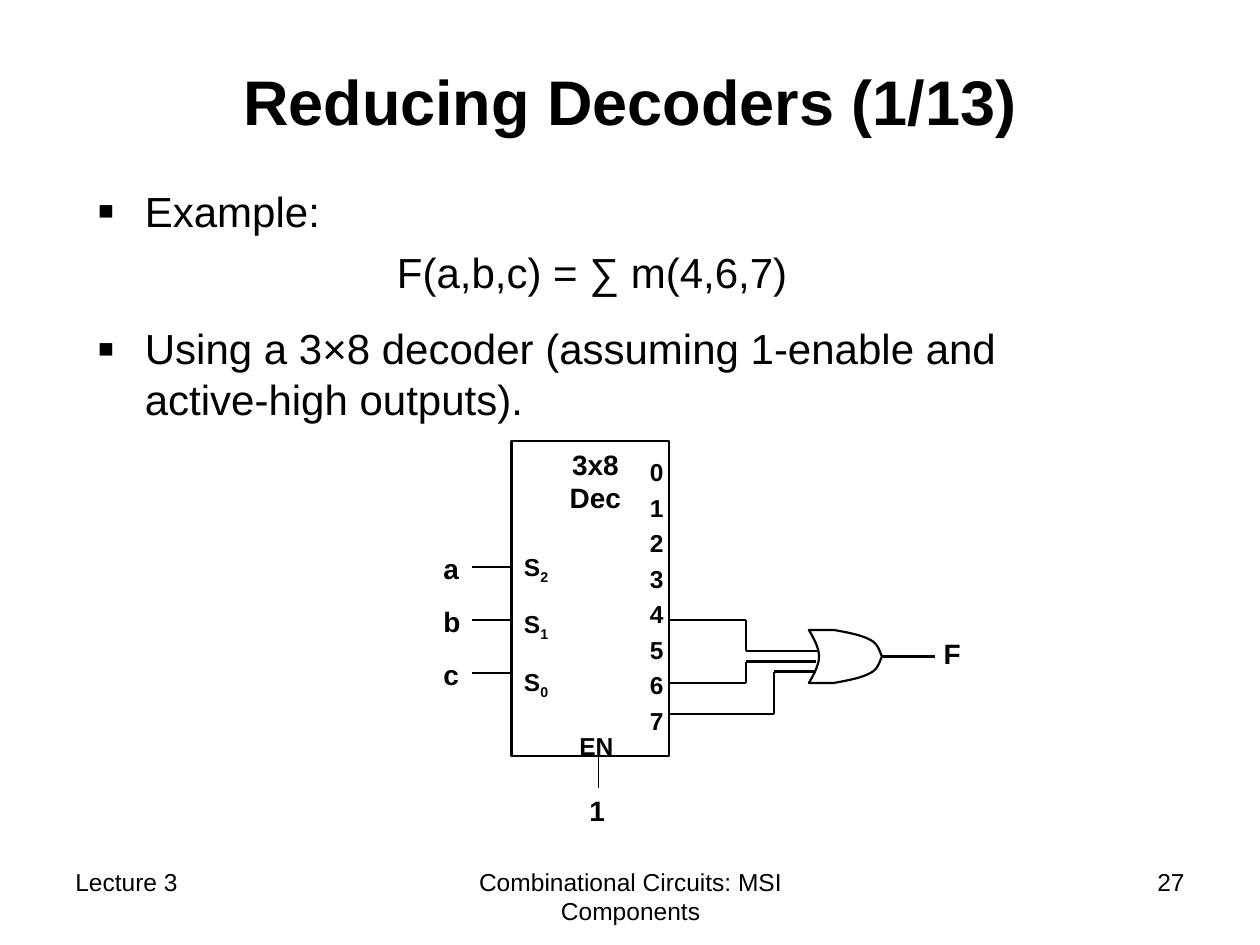
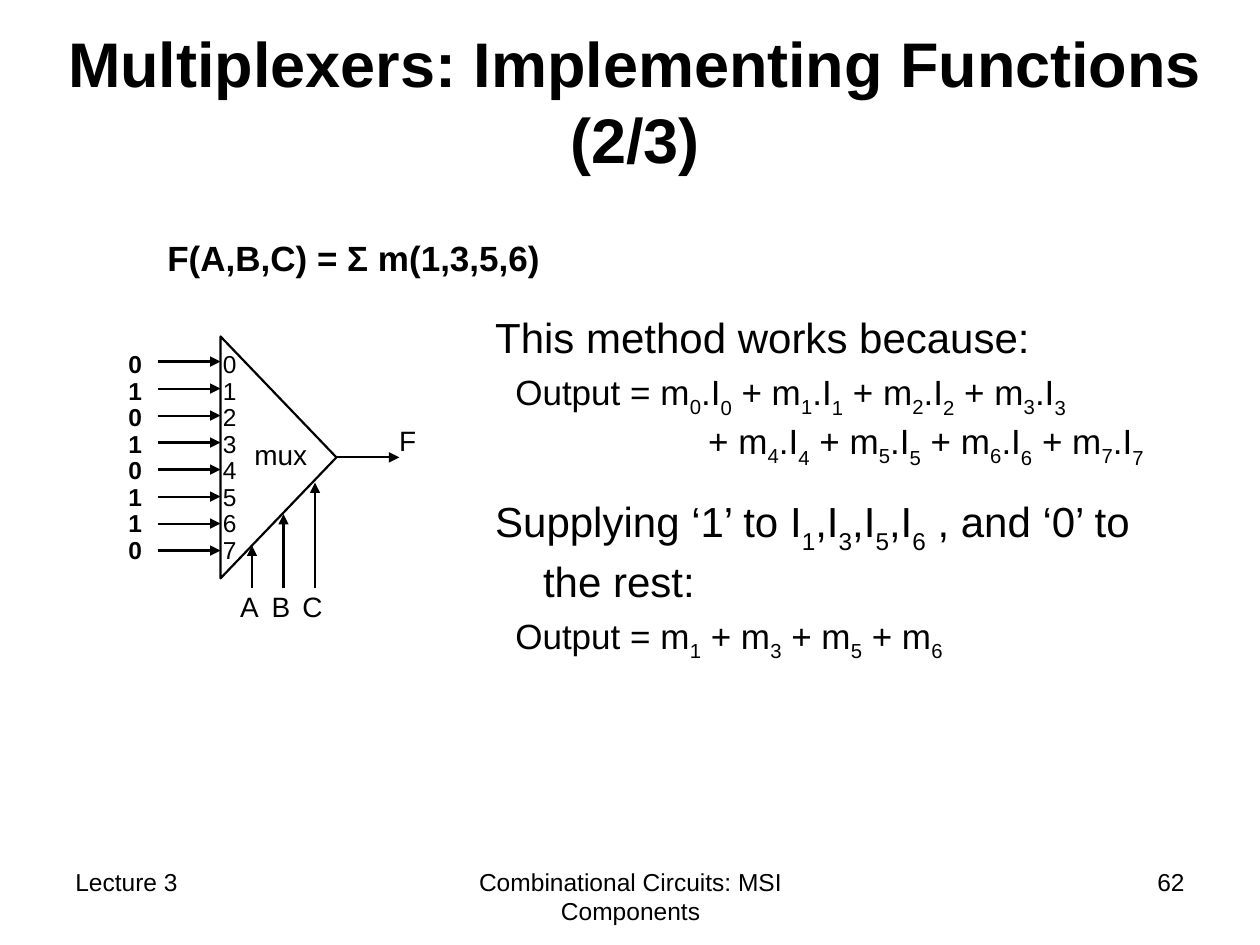
from itertools import pairwise

from lxml import etree
from pptx import Presentation
from pptx.dml.color import RGBColor
from pptx.enum.shapes import MSO_CONNECTOR, MSO_SHAPE
from pptx.enum.text import MSO_ANCHOR, MSO_AUTO_SIZE, PP_ALIGN
from pptx.oxml.ns import qn
from pptx.util import Inches, Pt

BLACK = RGBColor(0x00, 0x00, 0x00)
WHITE = RGBColor(0xFF, 0xFF, 0xFF)
FONT = "Arial"
LEFT, CENTER, RIGHT = PP_ALIGN.LEFT, PP_ALIGN.CENTER, PP_ALIGN.RIGHT
STRAIGHT = MSO_CONNECTOR.STRAIGHT
WIRE_WIDTH = 1.25
GATE_HEIGHT = 0.42


def add_bullet(para):
    properties = para._p.get_or_add_pPr()
    color = etree.SubElement(properties, qn("a:buClr"))
    etree.SubElement(color, qn("a:srgbClr")).set("val", str(BLACK))
    etree.SubElement(properties, qn("a:buSzPct")).set("val", "120000")
    etree.SubElement(properties, qn("a:buFont")).set("typeface", FONT)
    etree.SubElement(properties, qn("a:buChar")).set("char", "▪")


def set_indent(para, margin, first_line):
    properties = para._p.get_or_add_pPr()
    properties.set("marL", str(Inches(margin)))
    properties.set("indent", str(Inches(first_line)))


def write(para, text, size, bold=False, align=LEFT, before=0):
    para.alignment = align
    para.space_before = Pt(before)
    previous = ""
    for index, piece in enumerate(text.split("_")):
        if not piece:
            continue
        span = para.add_run()
        span.text = piece
        span.font.name = FONT
        span.font.size = Pt(size)
        span.font.bold = bold
        span.font.color.rgb = BLACK
        if index % 2:
            depth = "-30000" if previous.endswith("I") else "-25000"
            span._r.get_or_add_rPr().set("baseline", depth)
        previous = piece


def place(shape, left, top, width, height):
    shape.left, shape.top = Inches(left), Inches(top)
    shape.width, shape.height = Inches(width), Inches(height)


def add_label(page, left, top, width, lines, size=16, bold=False,
              align=LEFT, before=0, spacing=None, height=0.37):
    box = page.shapes.add_textbox(Inches(left), Inches(top), Inches(width), Inches(height))
    frame = box.text_frame
    frame.word_wrap = True
    for index, line in enumerate(lines):
        para = frame.paragraphs[0] if index == 0 else frame.add_paragraph()
        write(para, line, size, bold, align, before if index else 0)
        if spacing:
            para.line_spacing = spacing


def add_wire(page, points, width=WIRE_WIDTH, arrow=False):
    for start, end in pairwise(points):
        wire = page.shapes.add_connector(STRAIGHT, *(Inches(value) for value in start + end))
        wire.line.color.rgb = BLACK
        wire.line.width = Pt(width)
        properties = wire._element.spPr
        if arrow:
            outline = properties.find(qn("a:ln"))
            etree.SubElement(outline, qn("a:tailEnd")).set("type", "triangle")
        etree.SubElement(properties, qn("a:effectLst"))


def outline_shape(shape, width):
    shape.shadow.inherit = False
    shape.fill.background()
    shape.line.color.rgb = BLACK
    shape.line.width = Pt(width)


def sample_curve(start, first, second, end, steps=10):
    points = []
    for step in range(steps + 1):
        t = step / steps
        weights = ((1 - t) ** 3, 3 * t * (1 - t) ** 2, 3 * t * t * (1 - t), t ** 3)
        controls = (start, first, second, end)
        points.append(tuple(sum(weight * control[axis] for weight, control in zip(weights, controls))
                            for axis in (0, 1)))
    return points


def add_or_gate(page, left, top):
    middle = GATE_HEIGHT / 2
    upper = (sample_curve((0.08, middle), (0.08, 0.14), (0.04, 0.07), (0, 0))
             + sample_curve((0.2, 0), (0.31, 0.02), (0.42, 0.04), (0.49, 0.08))
             + sample_curve((0.49, 0.08), (0.55, 0.11), (0.56, 0.17), (0.58, middle)))
    lower = [(x, GATE_HEIGHT - y) for x, y in reversed(upper)]
    corners = [(Inches(left + x), Inches(top + y)) for x, y in upper + lower]
    builder = page.shapes.build_freeform(*corners[0], scale=1.0)
    builder.add_line_segments(corners[1:], close=True)
    outline_shape(builder.convert_to_shape(), WIRE_WIDTH)


def add_decoder(page, left, top, width, height):
    def at(*points):
        return [(left + x, top + y) for x, y in points]

    body = page.shapes.add_shape(MSO_SHAPE.RECTANGLE, Inches(left), Inches(top),
                                 Inches(width), Inches(height))
    outline_shape(body, 1.5)
    add_label(page, left + 0.25, top, 0.83, ["3x8", "Dec"], bold=True, align=CENTER, height=0.64)
    add_label(page, left, top + 0.83, 0.5, ["S_2_", "S_1_", "S_0_"], 14, True,
              before=13.8, height=1.3)
    for index, name in enumerate("abc"):
        shift = index * 0.42
        add_label(page, left - 0.64, top + 0.83 + shift, 0.33, [name], bold=True)
        add_wire(page, at((-0.31, 1 + shift), (0, 1 + shift)))
    add_label(page, left + width - 0.25, top + 0.08, 0.33, [str(number) for number in range(8)],
              14, True, before=3.5, height=2.31)

    add_wire(page, at((width, 1.42), (1.86, 1.42), (1.86, 1.67), (2.44, 1.67)))
    add_wire(page, at((width, 1.92), (1.86, 1.92), (1.86, 1.75), (2.42, 1.75)))
    add_wire(page, at((width, 2.17), (2.08, 2.17), (2.08, 1.83), (2.42, 1.83)))
    add_or_gate(page, left + 2.36, top + 1.5)
    add_wire(page, at((2.94, 1.71), (3.36, 1.71)))
    add_label(page, left + 3.33, top + 1.5, 0.33, ["F"], bold=True)

    add_label(page, left + 0.44, top + height - 0.25, 0.5, ["EN"], 14, True, height=0.34)
    add_wire(page, at((0.69, height), (0.69, height + 0.25)), 0.75)
    add_label(page, left + 0.52, top + height + 0.25, 0.33, ["1"], bold=True)


def add_multiplexer(page, left, top, width, height):
    middle = top + height / 2
    add_label(page, left + 0.17, top + 0.75, 0.75, ["mux"])
    body = page.shapes.add_shape(
        MSO_SHAPE.ISOSCELES_TRIANGLE, Inches(left + (width - height) / 2),
        Inches(middle - width / 2), Inches(height), Inches(width))
    body.rotation = 90
    outline_shape(body, WIRE_WIDTH)

    for offset, digits, bold in ((-0.83, "01010110", True), (-0.08, "01234567", False)):
        add_label(page, left + offset, top + 0.08, 0.42, digits, 14, bold,
                  spacing=0.9, height=1.78)
    for index in range(8):
        y = top + 0.2 + index * 1.5 / 7
        add_wire(page, [(left - 0.5, y), (left, y)], arrow=True)
    for index, name in enumerate("ABC"):
        x = left + 0.25 * (index + 1)
        add_wire(page, [(x, top + 2), (x, top + 1.66 - 0.25 * index)], arrow=True)
        add_label(page, x - 0.22, top + 1.96, 0.4, [name], align=CENTER)

    add_wire(page, [(left + width, middle), (left + width + 0.5, middle)], arrow=True)
    add_label(page, left + 1.32, top + 0.64, 0.4, ["F"])


def add_footer(page, number):
    for left, width, text, align in (
        (0.5, 2.33, "Lecture 3", LEFT),
        (3.42, 3.17, "Combinational Circuits: MSI Components", CENTER),
        (7.17, 2.33, str(number), RIGHT),
    ):
        add_label(page, left, 6.83, width, [text], 14, align=align, height=0.52)


def add_page(deck, title, title_box, number):
    page = deck.slides.add_slide(deck.slide_layouts[1])
    page.background.fill.solid()
    page.background.fill.fore_color.rgb = WHITE
    heading = page.shapes.title
    place(heading, *title_box)
    heading.text_frame.auto_size = MSO_AUTO_SIZE.NONE
    heading.text_frame.vertical_anchor = MSO_ANCHOR.MIDDLE
    write(heading.text_frame.paragraphs[0], title, 36, True, CENTER)
    add_footer(page, number)
    return page


def fill_body(page, box, rows):
    body = page.placeholders[1]
    place(body, *box)
    frame = body.text_frame
    frame.auto_size = MSO_AUTO_SIZE.NONE
    for index, (text, size, before, margin, first_line, bulleted) in enumerate(rows):
        para = frame.paragraphs[0] if index == 0 else frame.add_paragraph()
        set_indent(para, margin, first_line)
        if bulleted:
            add_bullet(para)
        else:
            etree.SubElement(para._p.get_or_add_pPr(), qn("a:buNone"))
        write(para, text, size, before=before)


def build_decoder_page(deck):
    page = add_page(deck, "Reducing Decoders (1/13)", (0.75, 0.17, 8.5, 1.25), 27)
    fill_body(page, (0.67, 1.42, 8.17, 2.08), [
        ("Example:", 24, 0, 0.38, -0.38, True),
        ("F(a,b,c) = ∑ m(4,6,7)", 24, 6, 2.38, 0, False),
        ("Using a 3×8 decoder (assuming 1-enable and active-high outputs).",
         24, 15, 0.38, -0.38, True),
    ])
    add_decoder(page, 4.06, 3.5, 1.25, 2.5)


def build_multiplexer_page(deck):
    page = add_page(deck, "Multiplexers: Implementing Functions (2/3)",
                    (0.33, 0.17, 9.42, 1.25), 62)
    terms = [f"m_{index}_.I_{index}_" for index in range(8)]
    fill_body(page, (3.83, 2.42, 5.65, 3.21), [
        ("This method works because:", 24, 0, 0.38, -0.38, False),
        ("Output = " + " + ".join(terms[:4]), 20, 5, 0.16, 0, False),
        ("+ " + " + ".join(terms[4:]), 20, 0, 1.69, 0, False),
        ("Supplying ‘1’ to I_1_,I_3_,I_5_,I_6_ , and ‘0’ to the rest:",
         24, 15, 0.38, -0.38, False),
        ("Output = m_1_ + m_3_ + m_5_ + m_6_", 20, 5, 0.16, 0, False),
    ])
    add_label(page, 1.23, 1.83, 3.67, ["F(A,B,C) = Σ m(1,3,5,6)"], 20, True, height=0.44)
    add_multiplexer(page, 1.75, 2.67, 0.92, 1.92)


def main():
    deck = Presentation()
    deck.slide_width, deck.slide_height = Inches(10), Inches(7.5)
    build_decoder_page(deck)
    build_multiplexer_page(deck)
    deck.save("out.pptx")


if __name__ == "__main__":
    main()
